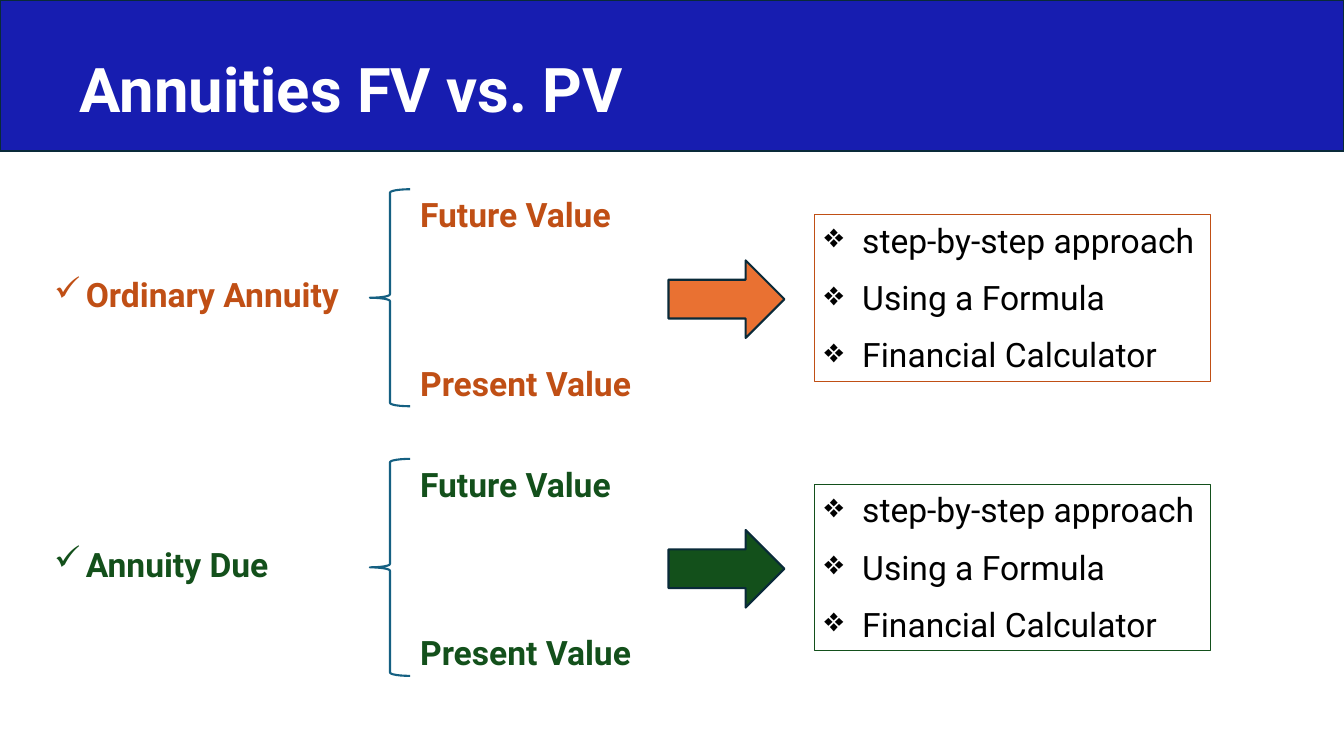
import pptx
import pptx.util
import pptx.dml.color
import pptx.enum.shapes
import pptx.enum.text
import pptx.oxml.ns
from lxml import etree

Pt = pptx.util.Pt
RGB = pptx.dml.color.RGBColor.from_string
SHAPE = pptx.enum.shapes.MSO_SHAPE
ALIGN = pptx.enum.text.PP_ALIGN
ANCHOR = pptx.enum.text.MSO_ANCHOR
AUTO = pptx.enum.text.MSO_AUTO_SIZE

# Content
TITLE = "Annuities FV vs. PV"
VALUES = ["Future Value", "Present Value"]
METHODS = ["step-by-step approach", "Using a Formula", "Financial Calculator"]
ANNUITIES = [
    {"name": "Ordinary Annuity", "color": "C04F15", "arrow": "E97132"},
    {"name": "Annuity Due", "color": "13501B", "arrow": "13501B"},
]

# Theme
THEME = {
    "font": "Roboto", "title_size": 44, "body_size": 24,
    "banner": "171DB0", "outline": "092A39", "brace": "156082",
    "title": "FFFFFF", "body": "000000",
}

# Layout: tops are relative to the top of each annuity row
ROW_TOP, ROW_PITCH = 135.2, 192.6
VALUE_PITCH = 120.4
VALUE_WIDTHS = [160, 173.5]
LABEL = (31.7, 57, 232.5, 36.4)
BRACE = (264.2, 0, 28.8, 155)
ARROW = (477.5, 50.8, 82.8, 55.4)
METHOD_BOX = (581.8, 18.2, 283, 118.8)

prs = pptx.Presentation()
prs.slide_width, prs.slide_height = Pt(960), Pt(540)
s = prs.slides.add_slide(prs.slide_layouts[6])


def apply(target, values):
    for name, value in values.items():
        setattr(target, name, value)


def place(box, top):
    x, y, w, h = box
    return Pt(x), Pt(y + top), Pt(w), Pt(h)


def set_line(sp, color, width):
    sp.line.color.rgb = RGB(color)
    sp.line.width = Pt(width)


def add_shape(kind, box, top, line, fill=None):
    sp = s.shapes.add_shape(kind, *place(box, top))
    sp.shadow.inherit = False
    if fill:
        sp.fill.solid()
        sp.fill.fore_color.rgb = RGB(fill)
    else:
        sp.fill.background()
    set_line(sp, line, 1.5)
    return sp


def add_bullet(p, char, indent):
    pPr = p._p.get_or_add_pPr()
    pPr.set("marL", str(Pt(indent)))
    pPr.set("indent", str(-Pt(indent)))
    etree.SubElement(pPr, pptx.oxml.ns.qn("a:buChar")).set("char", char)


def add_text(lines, box, top, color, size, bold=False, frame=None,
             para=None, bullet=None, gap=0):
    sp = s.shapes.add_textbox(*place(box, top))
    tf = sp.text_frame
    apply(tf, {"word_wrap": False, "auto_size": AUTO.SHAPE_TO_FIT_TEXT, **(frame or {})})
    for i, line in enumerate(lines):
        p = tf.paragraphs[0] if i == 0 else tf.add_paragraph()
        if bullet:
            add_bullet(p, *bullet)
        apply(p, para or {})
        if gap:
            p.space_after = Pt(gap)
            if i:
                p.space_before = Pt(gap)
        r = p.add_run()
        r.text = line
        apply(r.font, {"name": THEME["font"], "size": Pt(size), "bold": bold})
        r.font.color.rgb = RGB(color)
    return sp


# Title banner
add_shape(SHAPE.RECTANGLE, (0, 0, 960, 107.6), 0, THEME["outline"], THEME["banner"])
add_text([TITLE], (50, 21, 828, 90), 0, THEME["title"], THEME["title_size"], True,
         frame={"word_wrap": True, "auto_size": AUTO.NONE, "vertical_anchor": ANCHOR.MIDDLE},
         para={"line_spacing": 0.9})

# One row per annuity type
for row, annuity in enumerate(ANNUITIES):
    top = ROW_TOP + row * ROW_PITCH
    color, size = annuity["color"], THEME["body_size"]

    # Methods
    methods = add_text(METHODS, METHOD_BOX, top, THEME["body"], size,
                       bullet=("❖", 27), gap=6)
    set_line(methods, color, 0.75)

    # Annuity name and brace
    add_text([annuity["name"]], LABEL, top, color, size, True,
             frame={"word_wrap": True}, para={"alignment": ALIGN.JUSTIFY},
             bullet=("✓", 22.5), gap=6)
    add_shape(SHAPE.LEFT_BRACE, BRACE, top, THEME["brace"])

    # Values and arrow
    for i, (value, width) in enumerate(zip(VALUES, VALUE_WIDTHS)):
        add_text([value], (293, i * VALUE_PITCH, width, 36.4), top, color, size, True)
    add_shape(SHAPE.RIGHT_ARROW, ARROW, top, THEME["outline"], annuity["arrow"])

prs.save("out.pptx")
